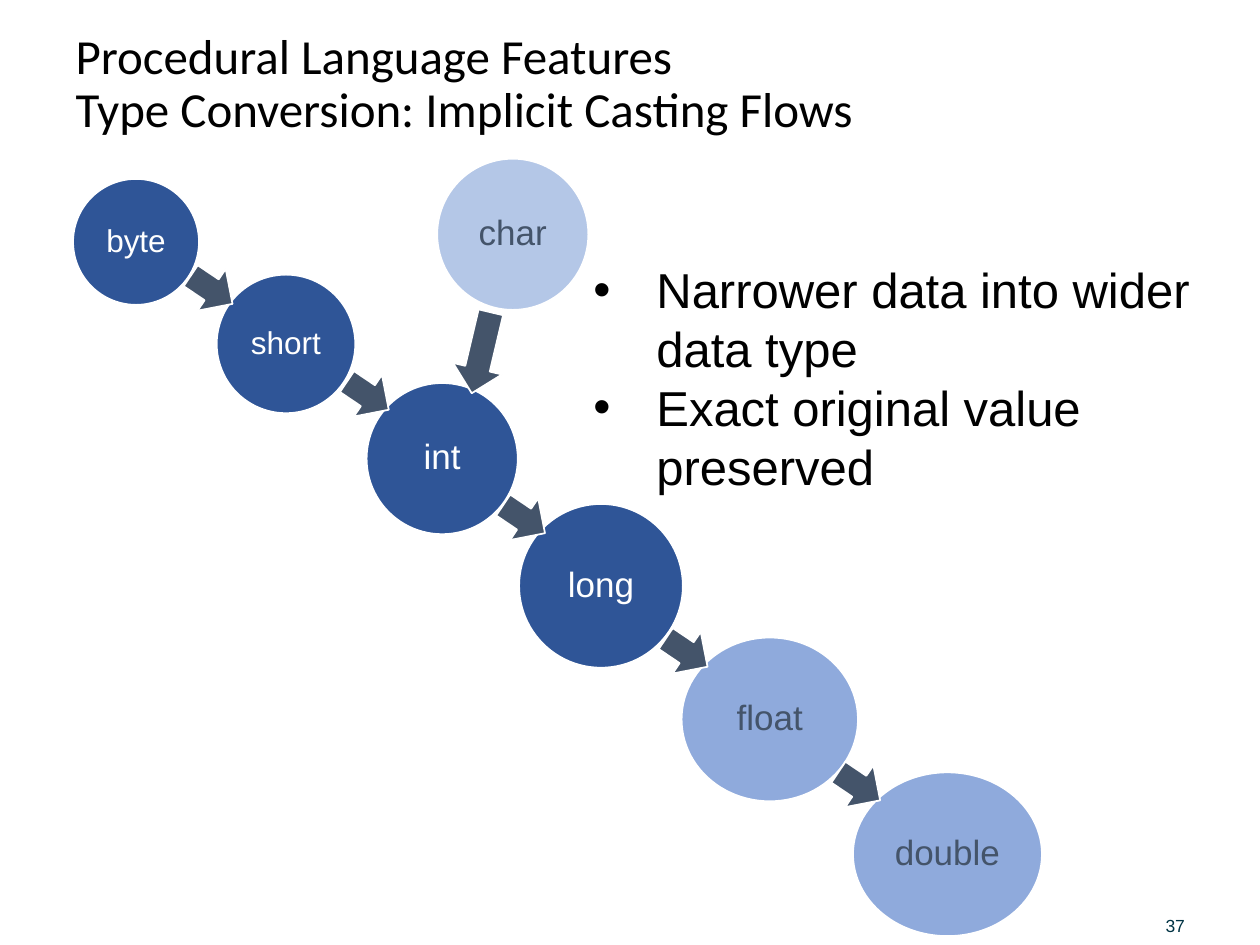
from pptx import Presentation, util as u
from pptx.dml.color import RGBColor
from pptx.enum import shapes, text
from pptx.oxml.ns import qn
from lxml import etree

COLUMNS, ROWS = 100, 75
COLORS = {
    "integer": "2F5597", "character": "B4C7E7", "decimal": "8FAADC",
    "arrow": "44546A", "dark": "44546A", "light": "FFFFFF",
    "edge": "FFFFFF", "body": "000000", "number": "003344",
}
TYPES = [
    ("short", 17.7, 15.3, 11, 11, "integer", "light", 18),
    ("byte", 5.8, 7.2, 10, 10, "integer", "light", 18),
    ("int", 30.1, 24.4, 12, 12, "integer", "light", 20),
    ("long", 42.7, 34.5, 13, 13, "integer", "light", 20),
    ("char", 35.7, 6.6, 12, 12, "character", "dark", 20),
    ("float", 56.1, 45.1, 14, 13, "decimal", "dark", 20),
    ("double", 70.2, 55.8, 15, 13, "decimal", "dark", 20),
]
CHAR_CAST = (33.2, 16, 6.6, 13.3)
WIDENINGS = [(11.8, 11), (24.2, 19.4), (36.6, 29.2), (63.2, 50.4), (49.5, 39.8)]

prs = Presentation()
prs.slide_width, prs.slide_height = u.Inches(10), u.Inches(7.5)
COLUMN, ROW = prs.slide_width / COLUMNS, prs.slide_height / ROWS


def rgb(name):
    return RGBColor.from_string(COLORS[name])


def cells(left, top, width, height):
    return [round(n * unit) for n, unit in
            zip((left, top, width, height), (COLUMN, ROW, COLUMN, ROW))]


def set_frame(frame, anchor, inset):
    frame.word_wrap = True
    frame.auto_size = text.MSO_AUTO_SIZE.NONE
    frame.vertical_anchor = anchor
    frame.margin_left = frame.margin_right = u.Inches(inset)
    frame.margin_top = frame.margin_bottom = u.Inches(inset)


def format_runs(frame, size, color, font="Arial"):
    for paragraph in frame.paragraphs:
        for run in paragraph.runs:
            run.font.name, run.font.size = font, u.Pt(size)
            run.font.color.rgb = rgb(color)


def add_centred(slide, kind, x, y, width, height, fill):
    part = slide.shapes.add_shape(
        kind, *cells(x - width / 2, y - height / 2, width, height))
    part.shadow.inherit = False
    part.fill.solid()
    part.fill.fore_color.rgb = rgb(fill)
    part.line.color.rgb = rgb("edge")
    part.line.width = u.Pt(1)
    return part


def add_title(slide, box):
    title = slide.shapes.title
    title.left, title.top, title.width, title.height = cells(*box)
    frame = title.text_frame
    frame.text = "Procedural Language Features\vType Conversion: Implicit Casting Flows"
    set_frame(frame, text.MSO_ANCHOR.MIDDLE, 0.1)
    frame.paragraphs[0].alignment = text.PP_ALIGN.LEFT
    frame.paragraphs[0].line_spacing = 0.9
    format_runs(frame, 28, "body", "Calibri")


def add_casting_flow(slide, box):
    left, top = box[:2]
    for label, x, y, width, height, fill, ink, size in TYPES:
        circle = add_centred(slide, shapes.MSO_SHAPE.OVAL,
                             left + x, top + y, width, height, fill)
        frame = circle.text_frame
        frame.text = label
        set_frame(frame, text.MSO_ANCHOR.MIDDLE, 0.05)
        frame.paragraphs[0].alignment = text.PP_ALIGN.CENTER
        frame.paragraphs[0].line_spacing = 0.9
        format_runs(frame, size, ink)
    for x, y, length, angle in [CHAR_CAST] + [(x, y, 4, 304) for x, y in WIDENINGS]:
        arrow = add_centred(slide, shapes.MSO_SHAPE.DOWN_ARROW,
                            left + x, top + y, 4, length, "arrow")
        arrow.rotation = angle


def add_bullets(slide, box):
    frame = slide.shapes.add_textbox(*cells(*box)).text_frame
    frame.text = "Narrower data into wider data type\nExact original value preserved"
    set_frame(frame, text.MSO_ANCHOR.BOTTOM, 0)
    format_runs(frame, 28, "body")
    for paragraph in frame.paragraphs:
        properties = paragraph._p.get_or_add_pPr()
        properties.set("marL", str(u.Inches(0.5)))
        properties.set("indent", str(-u.Inches(0.5)))
        etree.SubElement(properties, qn("a:buFont"), typeface="Arial")
        etree.SubElement(properties, qn("a:buChar"), char="•")


def add_page_number(slide, box):
    frame = slide.shapes.add_textbox(*cells(*box)).text_frame
    frame.text = "37"
    set_frame(frame, text.MSO_ANCHOR.BOTTOM, 0)
    format_runs(frame, 10, "number")


def main():
    slide = prs.slides.add_slide(prs.slide_layouts[5])
    add_title(slide, (5, 2, 88.3, 9.5))
    add_casting_flow(slide, (5, 12, 78, 63))
    add_bullets(slide, (47.1, 21.5, 52.8, 17.8))
    add_page_number(slide, (92.5, 71.5, 6.9, 2.8))
    prs.save("out.pptx")


if __name__ == "__main__":
    main()
